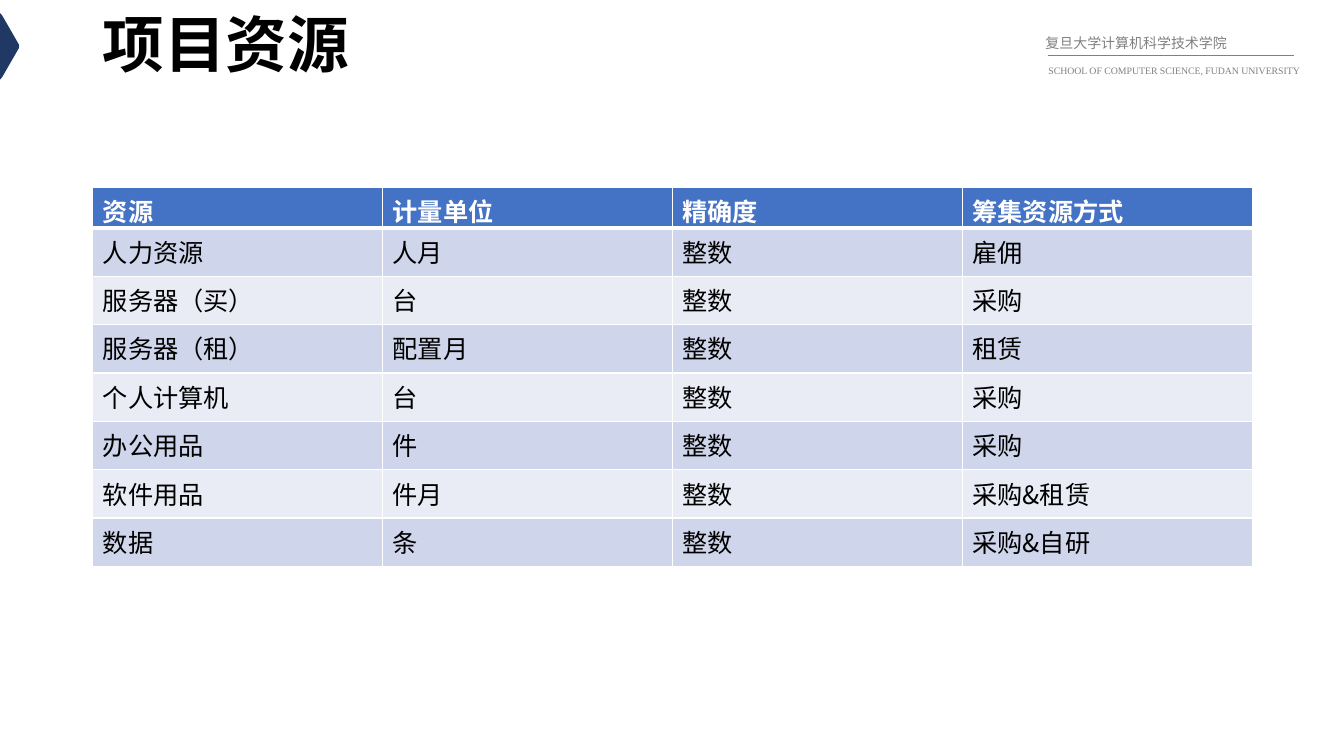
from lxml import etree
from pptx import Presentation
from pptx.dml.color import RGBColor
from pptx.enum.shapes import MSO_CONNECTOR
from pptx.enum.text import MSO_ANCHOR, MSO_AUTO_SIZE, PP_ALIGN
from pptx.oxml.ns import qn
from pptx.util import Inches, Pt

WHITE = RGBColor(0xFF, 0xFF, 0xFF)
BLACK = RGBColor(0x00, 0x00, 0x00)
NAVY = RGBColor(0x20, 0x38, 0x64)
GRAY = RGBColor(0x80, 0x80, 0x80)
HEADER_BLUE = RGBColor(0x44, 0x72, 0xC4)
BAND_DARK = RGBColor(0xCF, 0xD5, 0xEA)
BAND_LIGHT = RGBColor(0xE9, 0xEB, 0xF5)

CJK_FONT = "Noto Sans CJK SC"
LATIN_FONT = "Times New Roman"

RESOURCES = [
    ("资源", "计量单位", "精确度", "筹集资源方式"),
    ("人力资源", "人月", "整数", "雇佣"),
    ("服务器（买）", "台", "整数", "采购"),
    ("服务器（租）", "配置月", "整数", "租赁"),
    ("个人计算机", "台", "整数", "采购"),
    ("办公用品", "件", "整数", "采购"),
    ("软件用品", "件月", "整数", "采购&租赁"),
    ("数据", "条", "整数", "采购&自研"),
]


def write_text(frame, text, size, color=BLACK, font=CJK_FONT, bold=False,
               align=None, spacing=None):
    paragraph = frame.paragraphs[0]
    paragraph.alignment = align
    paragraph.line_spacing = spacing
    run = paragraph.add_run()
    run.text = text
    run.font.size = Pt(size)
    run.font.bold = bold
    run.font.color.rgb = color
    run.font.name = font
    east_asian = etree.SubElement(run.font._element, qn("a:ea"))
    east_asian.set("typeface", CJK_FONT)


def add_text(slide, left, top, width, height, text, size,
             anchor=MSO_ANCHOR.TOP, grow=False, **style):
    frame = slide.shapes.add_textbox(
        Inches(left), Inches(top), Inches(width), Inches(height)).text_frame
    frame.word_wrap = True
    frame.vertical_anchor = anchor
    if grow:
        frame.auto_size = MSO_AUTO_SIZE.SHAPE_TO_FIT_TEXT
    write_text(frame, text, size, **style)


def set_borders(cell, **widths):
    # Border elements must come before the fill
    properties = cell._tc.get_or_add_tcPr()
    for index, (side, width) in enumerate(widths.items()):
        border = etree.Element(qn(f"a:{side}"), w=str(Pt(width)))
        fill = etree.SubElement(border, qn("a:solidFill"))
        etree.SubElement(fill, qn("a:srgbClr"), val=str(WHITE))
        properties.insert(index, border)


def add_edge_marker(slide, left, top, width, height):
    # Arrow-like tab with a rounded tip, as fractions of its box
    outline = [(0, 0), (0.1, 0.03), (0.92, 0.44), (0.98, 0.47), (1, 0.5),
               (0.98, 0.53), (0.92, 0.56), (0.1, 0.97), (0, 1)]
    points = [(Inches(left + x * width), Inches(top + y * height))
              for x, y in outline]
    builder = slide.shapes.build_freeform(*points[0])
    builder.add_line_segments(points[1:], close=True)
    marker = builder.convert_to_shape()
    marker.shadow.inherit = False
    marker.fill.solid()
    marker.fill.fore_color.rgb = NAVY
    marker.line.fill.background()


def add_school_header(slide, left, top, width):
    style = dict(color=GRAY, font=LATIN_FONT, spacing=1.5, grow=True)
    add_text(slide, left, top, width, 0.32, "复旦大学计算机科学技术学院", 10,
             align=PP_ALIGN.JUSTIFY, **style)
    # Rule between the two names
    rule_y = Inches(top + 0.34)
    rule = slide.shapes.add_connector(
        MSO_CONNECTOR.STRAIGHT, Inches(left + 0.12), rule_y,
        Inches(left + 2.56), rule_y)
    rule.line.color.rgb = GRAY
    rule.line.width = Pt(0.5)
    etree.SubElement(rule._element.spPr, qn("a:effectLst"))
    add_text(slide, left + 0.03, top + 0.32, width, 0.26,
             "SCHOOL OF COMPUTER SCIENCE, FUDAN UNIVERSITY", 7, **style)


def add_resource_table(slide, left, top, width, height):
    table_frame = slide.shapes.add_table(
        len(RESOURCES), len(RESOURCES[0]),
        Inches(left), Inches(top), Inches(width), Inches(height))
    table = table_frame.table
    for row_index, values in enumerate(RESOURCES):
        header = row_index == 0
        band = BAND_DARK if row_index % 2 else BAND_LIGHT
        # The header has no height of its own and takes what the rows leave
        table.rows[row_index].height = Inches(0 if header else 0.48)
        for column, value in enumerate(values):
            cell = table.cell(row_index, column)
            cell.fill.solid()
            cell.fill.fore_color.rgb = HEADER_BLUE if header else band
            set_borders(cell, lnL=1, lnR=1, lnT=3 if row_index == 1 else 1,
                        lnB=3 if header else 1)
            write_text(cell.text_frame, value, 18, bold=header,
                       color=WHITE if header else BLACK)
    table_frame.height = Inches(height)


def main():
    presentation = Presentation()
    presentation.slide_width = Inches(13.33)
    presentation.slide_height = Inches(7.5)
    slide = presentation.slides.add_slide(presentation.slide_layouts[6])

    add_edge_marker(slide, 0, 0.13, 0.19, 0.66)
    add_school_header(slide, 10.27, 0.21, 2.72)
    add_resource_table(slide, 0.92, 1.86, 11.5, 3.79)
    add_text(slide, 0.92, 0, 11.5, 0.95, "项目资源", 44, bold=True,
             anchor=MSO_ANCHOR.MIDDLE, spacing=0.9)
    presentation.save("out.pptx")


if __name__ == "__main__":
    main()
